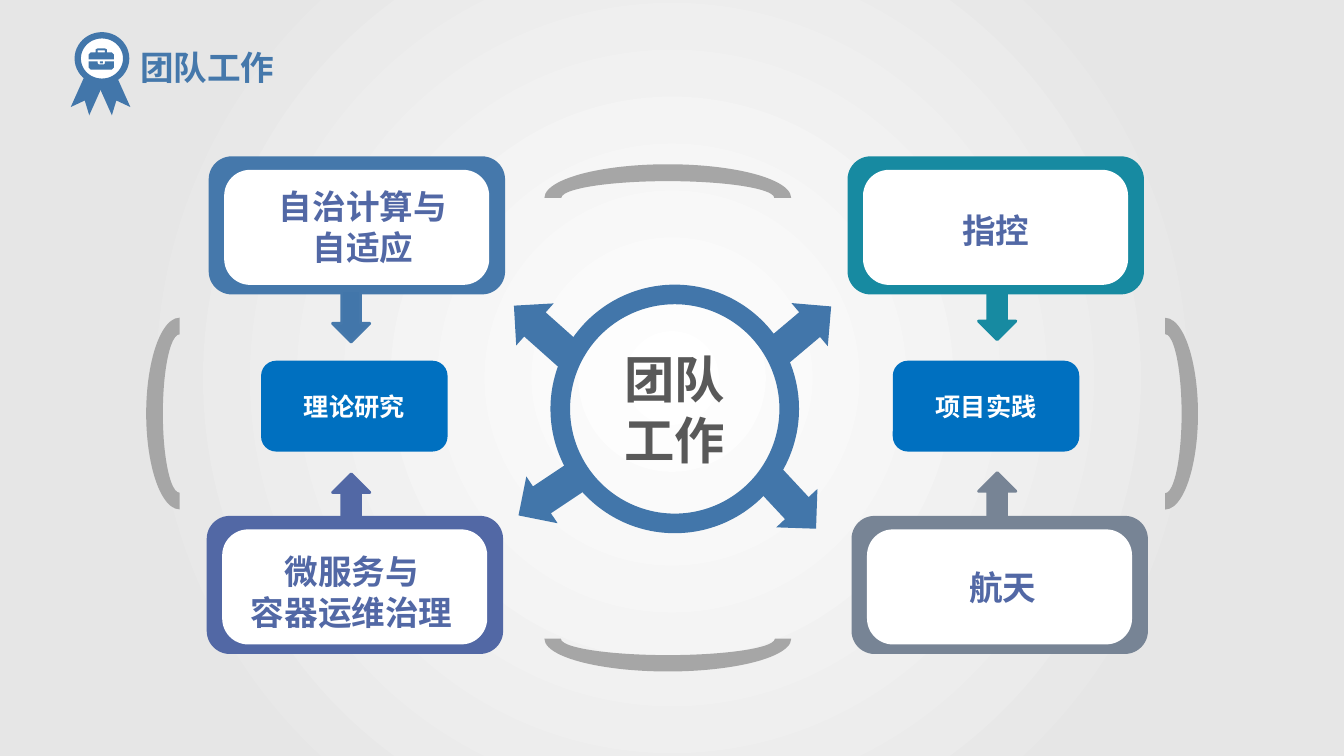
from lxml import etree
from pptx import Presentation
from pptx.dml.color import RGBColor
from pptx.enum.shapes import MSO_SHAPE
from pptx.enum.text import MSO_ANCHOR, PP_ALIGN
from pptx.oxml.ns import qn
from pptx.util import Cm, Pt

ROUND, OVAL, ARC = MSO_SHAPE.ROUNDED_RECTANGLE, MSO_SHAPE.OVAL, MSO_SHAPE.BLOCK_ARC
RIGHT, DOWN = MSO_SHAPE.RIGHT_ARROW, MSO_SHAPE.DOWN_ARROW
RIBBON = MSO_SHAPE.NOTCHED_RIGHT_ARROW
LEFT, CENTER, MIDDLE = PP_ALIGN.LEFT, PP_ALIGN.CENTER, MSO_ANCHOR.MIDDLE

WHITE = RGBColor(0xFF, 0xFF, 0xFF)
PALE = RGBColor(0xE6, 0xE6, 0xE6)
GREY = RGBColor(0xA6, 0xA6, 0xA6)
DARK = RGBColor(0x59, 0x59, 0x59)
BLUE = RGBColor(0x42, 0x76, 0xAA)
STEEL = RGBColor(0x45, 0x78, 0xAB)
BRIGHT = RGBColor(0x00, 0x70, 0xC0)
TEAL = RGBColor(0x17, 0x8A, 0xA1)
INDIGO = RGBColor(0x52, 0x68, 0xA5)
SLATE = RGBColor(0x77, 0x84, 0x95)
SANS, SERIF = "Noto Sans CJK SC", "Times New Roman"

# Content, lengths in cm
TITLE = "团队工作"
PANELS = [  # text, colour, panel left and top, text box
    ("自治计算与\n自适应", STEEL, (5.26, 3.94), (6.02, 4.57, 6.25, 2.31)),
    ("指控", TEAL, (21.36, 3.94), (22.25, 5.16, 5.69, 1.27)),
    ("微服务与\n容器运维治理", INDIGO, (5.21, 13), (6.02, 13.77, 5.69, 2.31)),
    ("航天", SLATE, (21.46, 13), (22.43, 14.17, 5.69, 1.27)),
]
TOPICS = [("理论研究", 6.58), ("项目实践", 22.5)]
LINKS = [  # left, top, rotation, fill, line
    (8.38, 7.32, 0, BLUE, STEEL), (8.38, 11.94, 180, INDIGO, INDIGO),
    (24.66, 11.91, 180, SLATE, SLATE), (24.66, 7.26, 0, TEAL, TEAL),
]
SPOKES = [(19.2, 7.65, 319.9), (12.9, 11.73, 146.3),
          (12.7, 7.65, 221.7), (18.9, 11.89, 47)]
ARCS = [((13.72, 4.14, 6.22, 1.7), 0), ((13.72, 15.27, 6.22, 1.65), 180),
        ((26.95, 9.6, 4.83, 1.65), 90), ((2.11, 9.58, 4.83, 1.68), 270)]
RIBBONS = [(2.18, 245.9), (1.65, 294.1)]
BRIEFCASE = [  # lid, base, handle gap, clasp, in hundredths of an inch
    [(88, 59), (88, 54), (90, 52), (95, 52), (95, 49), (97, 48),
     (104, 48), (106, 49), (106, 52), (111, 52), (113, 54), (113, 59)],
    [(113, 67), (111, 69), (90, 69), (88, 67), (88, 61), (97, 61),
     (97, 63), (98, 64), (103, 64), (104, 63), (104, 61), (113, 61)],
    [(104, 52), (104, 50), (97, 50), (97, 52)],
    [(102, 63), (99, 63), (99, 61), (102, 61)],
]


def style(sp, fill=None, line=None, width=0):
    sp.shadow.inherit = False
    if fill is None:
        sp.fill.background()
    else:
        sp.fill.solid()
        sp.fill.fore_color.rgb = fill
    if line is None:
        sp.line.fill.background()
    else:
        sp.line.color.rgb = line
        sp.line.width = Pt(width)


def add(kind, box, fill=None, line=None, width=0, rot=0, adj=()):
    sp = s.shapes.add_shape(kind, *map(Cm, box))
    style(sp, fill, line, width)
    sp.rotation = rot
    for i, value in enumerate(adj):
        sp.adjustments[i] = value
    return sp


def write(sp, text, size, color, font=SANS, align=CENTER, anchor=MIDDLE):
    tf = sp.text_frame
    tf.word_wrap = True
    tf.vertical_anchor = anchor
    tf.text = text
    for p in tf.paragraphs:
        p.alignment = align
        for r in p.runs:
            r.font.size, r.font.bold, r.font.name = Pt(size), True, font
            r.font.color.rgb = color
            ea = etree.SubElement(r.font._element, qn("a:ea"))
            ea.set("typeface", SANS)


prs = Presentation()
prs.slide_width, prs.slide_height = Cm(33.87), Cm(19.05)
s = prs.slides.add_slide(prs.slide_layouts[5])

# Background: radial gradient from the centre
fill = s.background.fill
fill.gradient()
for stop, color, position in zip(fill.gradient_stops, (WHITE, PALE), (0, 0.73)):
    stop.color.rgb, stop.position = color, position
grad = next(s.element.iter(qn("a:gradFill")))
lin = grad.find(qn("a:lin"))
radial = etree.Element(qn("a:path"), {"path": "circle"})
etree.SubElement(radial, qn("a:fillToRect"), dict.fromkeys("ltrb", "50000"))
grad.replace(lin, radial)

# Title
title = s.shapes.title
title.left, title.top, title.width, title.height = map(Cm, (3.53, 0.84, 12.22, 1.7))
tf = title.text_frame
tf.margin_left = tf.margin_right = tf.margin_top = tf.margin_bottom = 0
write(title, TITLE, 24, STEEL, SERIF, LEFT)

# Framed panels
for text, color, (x, y), text_box in PANELS:
    add(ROUND, (x, y, 7.47, 3.48), color)
    add(ROUND, (x + 0.39, y + 0.34, 6.68, 2.9), WHITE, adj=[0.226])
    label = s.shapes.add_textbox(*map(Cm, text_box))
    write(label, text, 24, INDIGO, anchor=MSO_ANCHOR.TOP)

# Hub with spokes, and arcs around it
hub = add(OVAL, (14.12, 7.42, 5.77, 5.77), line=BLUE, width=14)
write(hub, TITLE, 36, DARK, SERIF)
for x, y, rot in SPOKES:
    add(RIGHT, (x, y, 1.98, 1.42), BLUE, rot=rot, adj=[0.574, 0.5])
for box, rot in ARCS:
    add(ARC, box, GREY, rot=rot)

# Topics and the arrows that lead to them
for text, x in TOPICS:
    write(add(ROUND, (x, 9.09, 4.7, 2.29), BRIGHT), text, 18, WHITE)
for x, y, rot, color, line in LINKS:
    add(DOWN, (x, y, 0.94, 1.3), color, line, 2, rot)

# Badge with briefcase
for x, rot in RIBBONS:
    add(RIBBON, (x, 1.98, 1.24, 0.51), BLUE, rot=rot, adj=[1, 0.58])
add(OVAL, (1.96, 0.89, 1.22, 1.17), WHITE, BLUE, 4.5)
fb = s.shapes.build_freeform(*BRIEFCASE[0][0], scale=Cm(2.54) / 100)
for i, outline in enumerate(BRIEFCASE):
    if i:
        fb.move_to(*outline[0])
    fb.add_line_segments(outline[1:], close=True)
style(fb.convert_to_shape(), BLUE)

prs.save("out.pptx")
